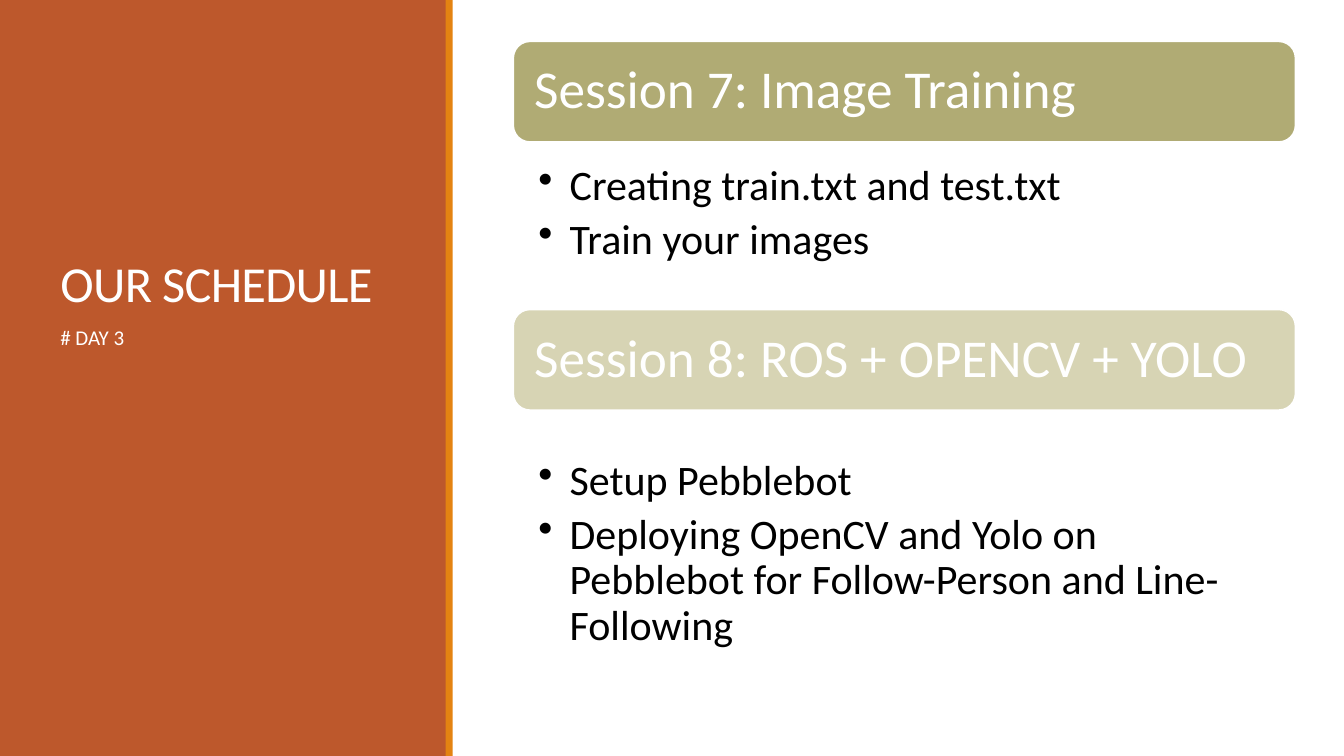
from lxml import etree
from pptx import Presentation
from pptx.dml.color import RGBColor
from pptx.enum.shapes import MSO_SHAPE
from pptx.enum.text import MSO_ANCHOR, PP_ALIGN
from pptx.oxml.ns import qn
from pptx.util import Inches, Pt

RECT, ROUNDED = MSO_SHAPE.RECTANGLE, MSO_SHAPE.ROUNDED_RECTANGLE
TOP, MIDDLE, BOTTOM = MSO_ANCHOR.TOP, MSO_ANCHOR.MIDDLE, MSO_ANCHOR.BOTTOM
LEFT = PP_ALIGN.LEFT

TITLE = "OUR SCHEDULE"
DAY = "# DAY 3"
# heading, heading fill, heading top, topics top, topics height, topics
SESSIONS = [
    ("Session 7: Image Training", "B0AB74", 0.41, 1.58, 1.39,
     ["Creating train.txt and test.txt", "Train your images"]),
    ("Session 8: ROS + OPENCV + YOLO", "D7D4B4", 3.07, 4.51, 2.17,
     ["Setup Pebblebot",
      "Deploying OpenCV and Yolo on Pebblebot for Follow-Person and Line-Following"]),
]
PANELS = [(0, 4.43, "BD582C"), (4.42, 0.07, "E48312")]  # left, width, fill
SLIDE_WIDTH, SLIDE_HEIGHT = 13.33, 7.5
SIDE_LEFT, SIDE_WIDTH = 0.5, 3.5
SESSION_LEFT, SESSION_WIDTH, HEADING_HEIGHT = 5.09, 7.76, 1
BULLET_INDENT = 0.31
WHITE, BLACK = "FFFFFF", "000000"


def color(value):
    return RGBColor.from_string(value)


def add_block(slide, kind, box, fill, line=None):
    block = slide.shapes.add_shape(kind, *map(Inches, box))
    block.shadow.inherit = False
    block.fill.solid()
    block.fill.fore_color.rgb = color(fill)
    if line:
        block.line.color.rgb = color(line)
        block.line.width = Pt(1.25)
    else:
        block.line.fill.background()
    return block


def add_bullet(paragraph):
    properties = paragraph._p.get_or_add_pPr()
    properties.set("marL", str(Inches(BULLET_INDENT)))
    properties.set("indent", str(-Inches(BULLET_INDENT)))
    etree.SubElement(properties, qn("a:buChar")).set("char", "•")


def write(shape, lines, size, text_color, anchor=TOP, margins=(0.1, 0.05, 0.1, 0.05),
          spacing=0.9, after=0, bullets=False):
    frame = shape.text_frame
    frame.text = "\n".join(lines)
    sides = ("margin_left", "margin_top", "margin_right", "margin_bottom")
    frame_format = dict(zip(sides, map(Inches, margins)))
    frame_format.update(word_wrap=True, vertical_anchor=anchor)
    for name, value in frame_format.items():
        setattr(frame, name, value)
    for paragraph in frame.paragraphs:
        paragraph.alignment = LEFT
        paragraph.line_spacing = spacing
        paragraph.space_before = Pt(0)
        paragraph.space_after = Pt(after)
        if bullets:
            add_bullet(paragraph)
        for run in paragraph.runs:
            for name, value in {"name": "Calibri", "size": Pt(size)}.items():
                setattr(run.font, name, value)
            run.font.color.rgb = color(text_color)


def main():
    deck = Presentation()
    deck.slide_width, deck.slide_height = Inches(SLIDE_WIDTH), Inches(SLIDE_HEIGHT)
    slide = deck.slides.add_slide(deck.slide_layouts[5])

    for left, width, fill in PANELS:
        add_block(slide, RECT, (left, 0, width, SLIDE_HEIGHT), fill)

    title = slide.shapes.title
    title.left, title.top = Inches(SIDE_LEFT), Inches(0.65)
    title.width, title.height = Inches(SIDE_WIDTH), Inches(2.5)
    write(title, [TITLE], 36, WHITE, BOTTOM, spacing=0.85)
    title.text_frame.paragraphs[0].runs[0].font._element.set("spc", "-50")
    slide.shapes.element.append(title.element)  # in front of the panels

    day = slide.shapes.add_textbox(*map(Inches, (SIDE_LEFT, 3.2, SIDE_WIDTH, 3.7)))
    write(day, [DAY], 15, WHITE)

    for heading, fill, heading_top, topics_top, topics_height, topics in SESSIONS:
        box = (SESSION_LEFT, heading_top, SESSION_WIDTH, HEADING_HEIGHT)
        bar = add_block(slide, ROUNDED, box, fill, WHITE)
        write(bar, [heading], 38, WHITE, MIDDLE, (0.16, 0.16, 0.16, 0.16))
        box = (SESSION_LEFT, topics_top, SESSION_WIDTH, topics_height)
        topic_list = slide.shapes.add_textbox(*map(Inches, box))
        write(topic_list, topics, 30, BLACK, margins=(0.25, 0.05, 0.3, 0.05),
              after=6, bullets=True)

    deck.save("out.pptx")


if __name__ == "__main__":
    main()
